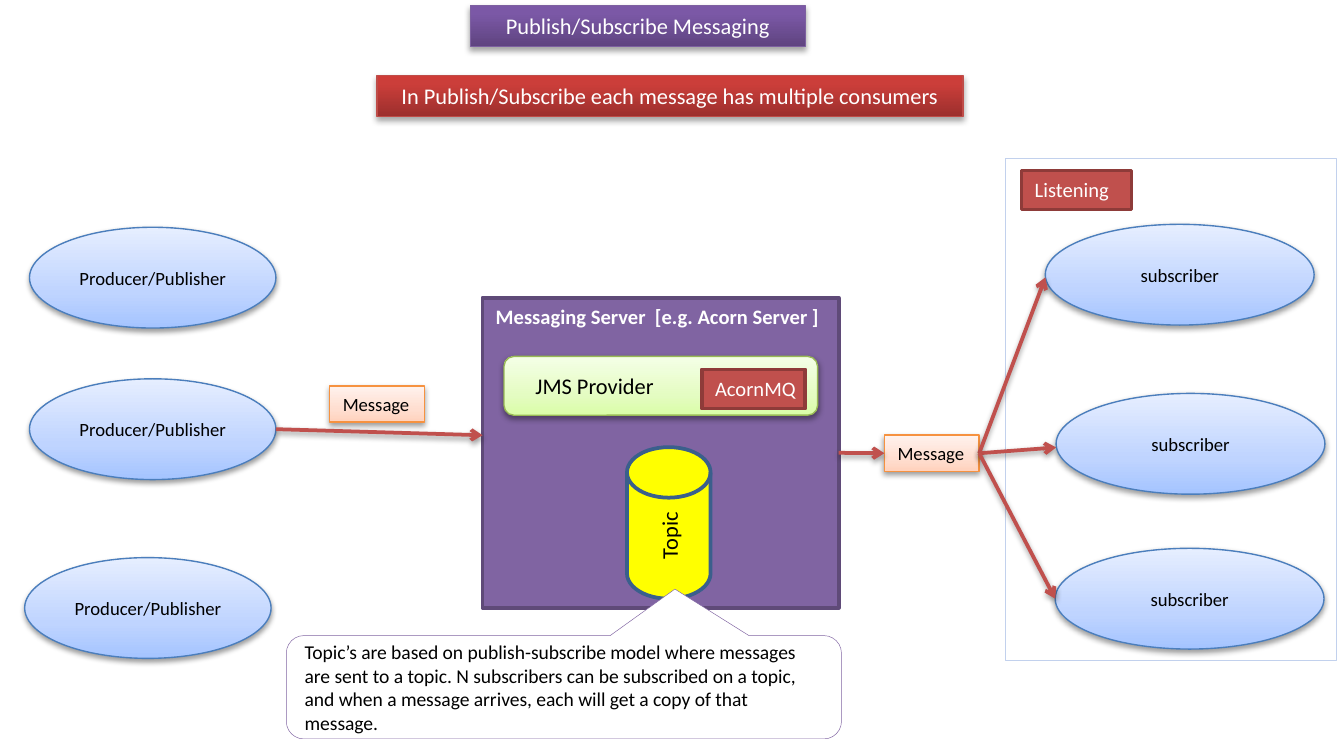
from lxml.etree import SubElement
from pptx import Presentation
from pptx.dml.color import RGBColor
from pptx.enum.shapes import MSO_CONNECTOR, MSO_SHAPE as Kind
from pptx.enum.text import MSO_ANCHOR as Anchor, PP_ALIGN as Align
from pptx.oxml.ns import qn
from pptx.util import Pt

WHITE = RGBColor(0xFF, 0xFF, 0xFF)
BLACK = RGBColor(0x00, 0x00, 0x00)
YELLOW = RGBColor(0xFF, 0xFF, 0x00)
RED = RGBColor(0xC0, 0x50, 0x4D)
DARK_RED = RGBColor(0x8E, 0x3B, 0x39)
PURPLE = RGBColor(0x80, 0x64, 0xA2)
DARK_PURPLE = RGBColor(0x5F, 0x4A, 0x78)
TITLE_EDGE = RGBColor(0x7D, 0x60, 0xA0)
BANNER_EDGE = RGBColor(0xBF, 0x4C, 0x48)
GREEN = RGBColor(0x98, 0xB9, 0x55)
BLUE = RGBColor(0x4B, 0x7E, 0xBC)
DARK_BLUE = RGBColor(0x3A, 0x5F, 0x8C)
PALE_BLUE = RGBColor(0xC2, 0xD1, 0xED)
ORANGE = RGBColor(0xF6, 0x92, 0x40)

# Gradient stops run from the bottom of a shape to its top
PURPLE_FADE = [(0, "5F4480"), (80, "7B58A6"), (100, "7C57A8")]
RED_FADE = [(0, "9C2F2D"), (80, "CB3E3A"), (100, "CE3B37")]
GREEN_FADE = [(0, "DAFDA7"), (35, "E4FCC2"), (100, "F5FFE7")]
BLUE_FADE = [(0, "A4C4FF"), (35, "BFD4FF"), (100, "E6EEFF")]
ORANGE_FADE = [(0, "FFD2BD"), (35, "FFDED0"), (100, "FFF2ED")]

# Style: preset, fill, line colour, line width, text size, text colour, centred, anchor
STYLES = {
    "frame": (Kind.RECTANGLE, None, PALE_BLUE, 0.25, 10, BLACK, False, Anchor.TOP),
    "title": (Kind.RECTANGLE, PURPLE_FADE, TITLE_EDGE, 0.75, 12, WHITE, True, Anchor.TOP),
    "banner": (Kind.RECTANGLE, RED_FADE, BANNER_EDGE, 0.75, 12, WHITE, True, Anchor.TOP),
    "tag": (Kind.RECTANGLE, RED, DARK_RED, 2, 11, WHITE, False, Anchor.TOP),
    "server": (Kind.RECTANGLE, PURPLE, DARK_PURPLE, 2, 11, WHITE, False, Anchor.TOP),
    "provider": (Kind.ROUNDED_RECTANGLE, GREEN_FADE, GREEN, 0.75, 12, BLACK, False, Anchor.MIDDLE),
    "client": (Kind.OVAL, BLUE_FADE, BLUE, 0.75, 10, BLACK, True, Anchor.MIDDLE),
    "message": (Kind.RECTANGLE, ORANGE_FADE, ORANGE, 0.75, 10, BLACK, False, Anchor.TOP),
    "topic": (Kind.FLOWCHART_DIRECT_ACCESS_STORAGE, YELLOW, DARK_BLUE, 2, 12, BLACK, True, Anchor.MIDDLE),
    "callout": (Kind.ROUNDED_RECTANGULAR_CALLOUT, WHITE, PURPLE, 0.25, 10.5, BLACK, False, Anchor.MIDDLE),
}

# Parts from back to front: name, style, text, (left, top, width, height)
PARTS = [
    ("listeners", "frame", "", (538.5, 84.8, 177.5, 269)),
    ("title", "title", "Publish/Subscribe Messaging", (252, 3, 179.5, 21.8)),
    ("listening", "tag", "Listening", (547.2, 91.4, 59, 20.9)),
    ("banner", "banner", "In Publish/Subscribe each message has multiple consumers",
     (202, 40.6, 314, 21.8)),
    ("server", "server", "Messaging Server  [e.g. Acorn Server ]", (258.5, 159.5, 190.8, 166.3)),
    ("provider", "provider", "JMS Provider", (270, 191, 168, 31.5)),
    ("queue", "tag", "AcornMQ", (376, 198, 55.5, 20.9)),
    ("producer 1", "client", "Producer/Publisher", (15.8, 121.8, 132, 54)),
    ("producer 2", "client", "Producer/Publisher", (15.8, 203, 132, 54)),
    ("producer 3", "client", "Producer/Publisher", (13.2, 298.8, 132, 54)),
    ("sent", "message", "Message", (176.6, 206.8, 50.8, 19.4)),
    ("subscriber 1", "client", "subscriber", (560, 120.2, 144, 54)),
    ("subscriber 2", "client", "subscriber", (565.8, 210.8, 144, 54)),
    ("subscriber 3", "client", "subscriber", (565.3, 293.8, 144, 54)),
    ("topic", "topic", "Topic", (317.7, 257.8, 81.2, 44.8)),
    ("delivered", "message", "Message", (473.8, 233.2, 50.8, 19.4)),
    ("note", "callout",
     "Topic’s are based on publish-subscribe model where messages are sent to a topic. "
     "N subscribers can be subscribed on a topic, and when a message arrives, "
     "each will get a copy of that message.", (153.4, 340.6, 297.4, 55.4)),
]

# Arrows go from a right edge to a left edge; the last value shifts the end down
ARROWS = [
    ("producer 2", "server", -9.4),
    ("server", "delivered", 0),
    ("delivered", "subscriber 1", 1.5),
    ("delivered", "subscriber 2", 2),
    ("delivered", "subscriber 3", 0),
]


def add_shadow(properties, opacity, distance):
    effects = properties.find(qn("a:effectLst"))
    if effects is None:
        effects = SubElement(properties, qn("a:effectLst"))
    shadow = SubElement(effects, qn("a:outerShdw"), blurRad=str(Pt(3.1)),
                        dist=str(Pt(distance)), dir="5400000", rotWithShape="0")
    color = SubElement(shadow, qn("a:srgbClr"), val="000000")
    SubElement(color, qn("a:alpha"), val=str(opacity * 1000))


def add_fade(shape, stops):
    shape.fill.gradient()
    shape.fill.gradient_angle = 90
    stop_list = shape.element.spPr.find(qn("a:gradFill")).find(qn("a:gsLst"))
    stop_list.clear()
    for position, color in stops:
        stop = SubElement(stop_list, qn("a:gs"), pos=str(position * 1000))
        SubElement(stop, qn("a:srgbClr"), val=color)


def add_part(page, style, text, place):
    kind, fill, edge, width, size, color, centred, anchor = STYLES[style]
    shape = page.shapes.add_shape(kind, *map(Pt, place))
    shape.line.color.rgb = edge
    shape.line.width = Pt(width)
    shape.shadow.inherit = False
    if fill is None:
        shape.fill.background()
    elif isinstance(fill, list):
        add_fade(shape, fill)
        heading = style in ("title", "banner")
        add_shadow(shape.element.spPr, 35 if heading else 38, 1.8 if heading else 1.6)
    else:
        shape.fill.solid()
        shape.fill.fore_color.rgb = fill
    if text:
        frame = shape.text_frame
        frame.text = text
        frame.word_wrap = style not in ("message", "tag")
        frame.vertical_anchor = anchor
        paragraph = frame.paragraphs[0]
        paragraph.alignment = Align.CENTER if centred else Align.LEFT
        font = paragraph.runs[0].font
        font.name, font.size, font.bold = "Calibri", Pt(size), style == "server"
        font.color.rgb = color
    return shape


def add_arrow(page, start, end, shift):
    x, y, width, height = start
    end_x, end_y, _, end_height = end
    arrow = page.shapes.add_connector(
        MSO_CONNECTOR.STRAIGHT, Pt(x + width), Pt(y + height / 2),
        Pt(end_x), Pt(end_y + end_height / 2 + shift))
    arrow.line.color.rgb = RED
    arrow.line.width = Pt(2)
    properties = arrow.element.spPr
    SubElement(properties.find(qn("a:ln")), qn("a:tailEnd"), type="arrow")
    add_shadow(properties, 38, 1.6)


deck = Presentation()
deck.slide_width, deck.slide_height = Pt(720), Pt(396)
page = deck.slides.add_slide(deck.slide_layouts[6])

# Boxes, ellipses, drum and callout
shapes = {name: add_part(page, style, text, place) for name, style, text, place in PARTS}
shapes["provider"].text_frame.margin_left = Pt(15.3)
shapes["topic"].rotation = 270
for index, value in enumerate((0.2, -0.95, 0.17)):
    shapes["note"].adjustments[index] = value

# Message flow
places = {name: place for name, _, _, place in PARTS}
for start, end, shift in ARROWS:
    add_arrow(page, places[start], places[end], shift)

deck.save("out.pptx")
